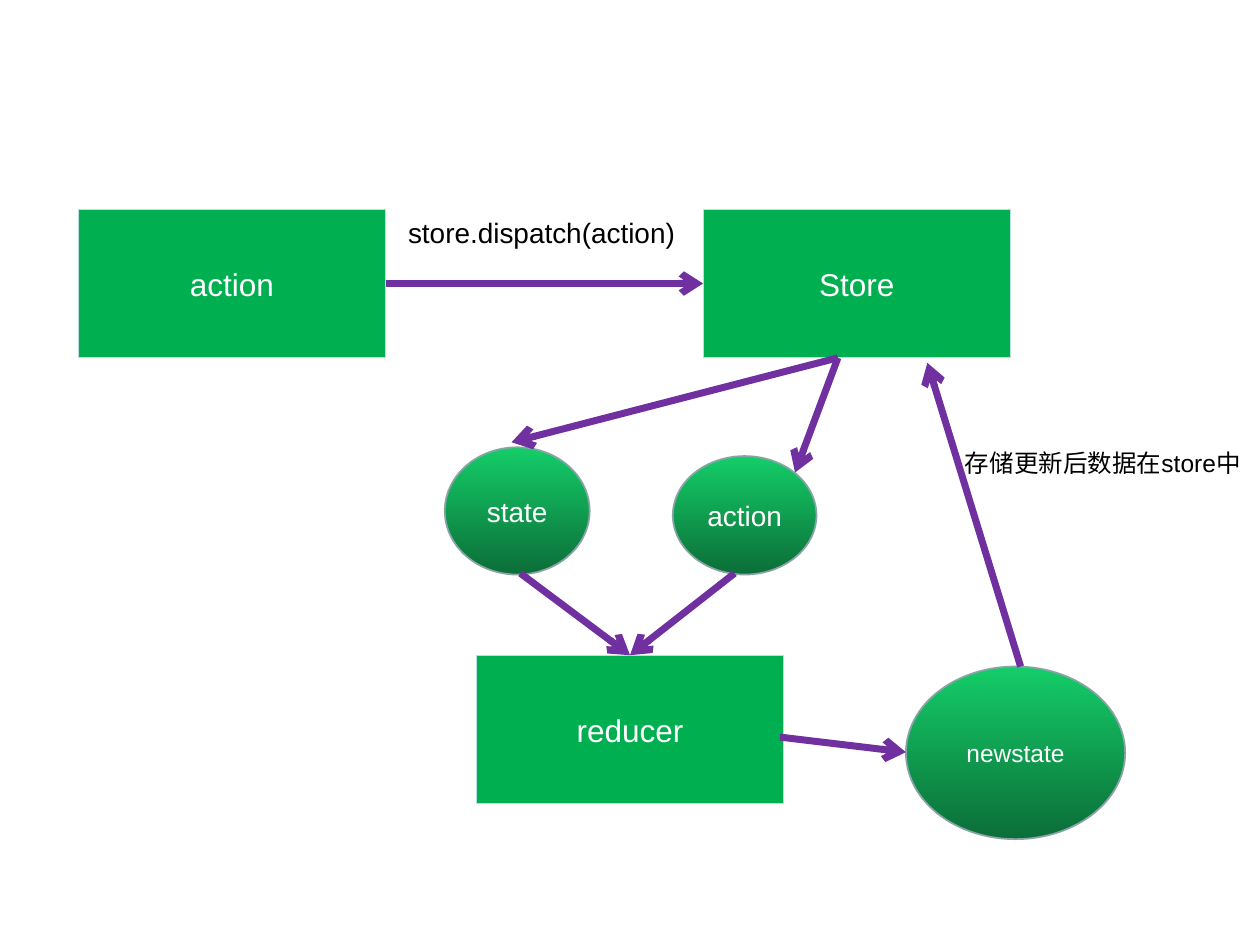
from dataclasses import dataclass

import pptx
import pptx.dml.color
import pptx.enum.shapes
import pptx.enum.text
import pptx.oxml
import pptx.oxml.ns
import pptx.util

Inches = pptx.util.Inches
Shapes = pptx.enum.shapes.MSO_SHAPE


def rgb(code):
    return pptx.dml.color.RGBColor.from_string(code)


@dataclass(frozen=True)
class Theme:
    font: str = "Arial"
    box_fill: str = "00B050"
    box_line: str = "BBE0E3"
    circle_top: str = "14CD68"
    circle_bottom: str = "0B6E38"
    circle_line: str = "89A4A7"
    arrow: str = "7030A0"
    light_text: str = "FFFFFF"
    dark_text: str = "000000"
    large: int = 18
    medium: int = 16
    small: int = 14


def write_text(shape, text, *, font, size, color, centered=False, wrap=True):
    frame = shape.text_frame
    frame.word_wrap = wrap
    paragraph = frame.paragraphs[0]
    if centered:
        frame.vertical_anchor = pptx.enum.text.MSO_ANCHOR.MIDDLE
        paragraph.alignment = pptx.enum.text.PP_ALIGN.CENTER
    run = paragraph.add_run()
    run.text = text
    run.font.name = font
    run.font.size = pptx.util.Pt(size)
    run.font.color.rgb = rgb(color)


class FlowDiagram:
    def __init__(self, slide, theme):
        self.slide = slide
        self.theme = theme

    def node(self, kind, text, bounds, size, line_color, line_width):
        shape = self.slide.shapes.add_shape(kind, *map(Inches, bounds))
        shape.shadow.inherit = False
        shape.line.color.rgb = rgb(line_color)
        shape.line.width = pptx.util.Pt(line_width)
        write_text(shape, text, font=self.theme.font, size=size,
                   color=self.theme.light_text, centered=True)
        return shape

    def box(self, text, left, top):
        shape = self.node(Shapes.RECTANGLE, text, (left, top, 2.44, 1.18),
                          self.theme.large, self.theme.box_line, 0.5)
        shape.fill.solid()
        shape.fill.fore_color.rgb = rgb(self.theme.box_fill)

    def circle(self, text, bounds, size):
        shape = self.node(Shapes.OVAL, text, bounds, size,
                          self.theme.circle_line, 1)
        shape.fill.gradient()
        shape.fill.gradient_angle = 270
        colors = (self.theme.circle_top, self.theme.circle_bottom)
        for position, (stop, color) in enumerate(
                zip(shape.fill.gradient_stops, colors)):
            stop.position = position
            stop.color.rgb = rgb(color)

    def label(self, text, bounds, size):
        shape = self.slide.shapes.add_textbox(*map(Inches, bounds))
        write_text(shape, text, font=self.theme.font, size=size,
                   color=self.theme.dark_text)

    def arrow(self, start, end):
        connector = self.slide.shapes.add_connector(
            pptx.enum.shapes.MSO_CONNECTOR.STRAIGHT,
            *map(Inches, start + end))
        connector.line.color.rgb = rgb(self.theme.arrow)
        connector.line.width = pptx.util.Pt(4)
        namespace = pptx.oxml.ns.nsdecls("a")
        connector.line._get_or_add_ln().append(
            pptx.oxml.parse_xml(f'<a:tailEnd {namespace} type="arrow"/>'))
        connector._element.spPr.append(
            pptx.oxml.parse_xml(f"<a:effectLst {namespace}/>"))


def main():
    presentation = pptx.Presentation()
    presentation.slide_width = Inches(10)
    presentation.slide_height = Inches(7.5)
    slide = presentation.slides.add_slide(presentation.slide_layouts[6])
    theme = Theme()
    diagram = FlowDiagram(slide, theme)

    diagram.box("action", 0.62, 1.66)
    diagram.box("Store", 5.58, 1.66)
    diagram.box("reducer", 3.78, 5.2)

    diagram.circle("state", (3.53, 3.55, 1.15, 1.01), theme.medium)
    diagram.circle("action", (5.34, 3.62, 1.14, 0.94), theme.medium)
    diagram.circle("newstate", (7.19, 5.29, 1.74, 1.37), theme.small)

    store_exit = (6.65, 2.84)
    reducer_entry = (5, 5.2)
    for start, end in (
        ((3.06, 2.25), (5.58, 2.25)),
        ((4.13, 4.55), reducer_entry),
        ((5.83, 4.55), reducer_entry),
        (store_exit, (4.06, 3.51)),
        (store_exit, (6.31, 3.75)),
        ((6.19, 5.85), (7.19, 5.97)),
        ((8.1, 5.29), (7.36, 2.88)),
    ):
        diagram.arrow(start, end)

    diagram.label("store.dispatch(action)", (3.14, 1.66, 3.51, 0.37),
                  theme.medium)
    diagram.label("存储更新后数据在store中", (7.56, 3.51, 3.31, 0.34),
                  theme.small)

    presentation.save("out.pptx")


if __name__ == "__main__":
    main()
